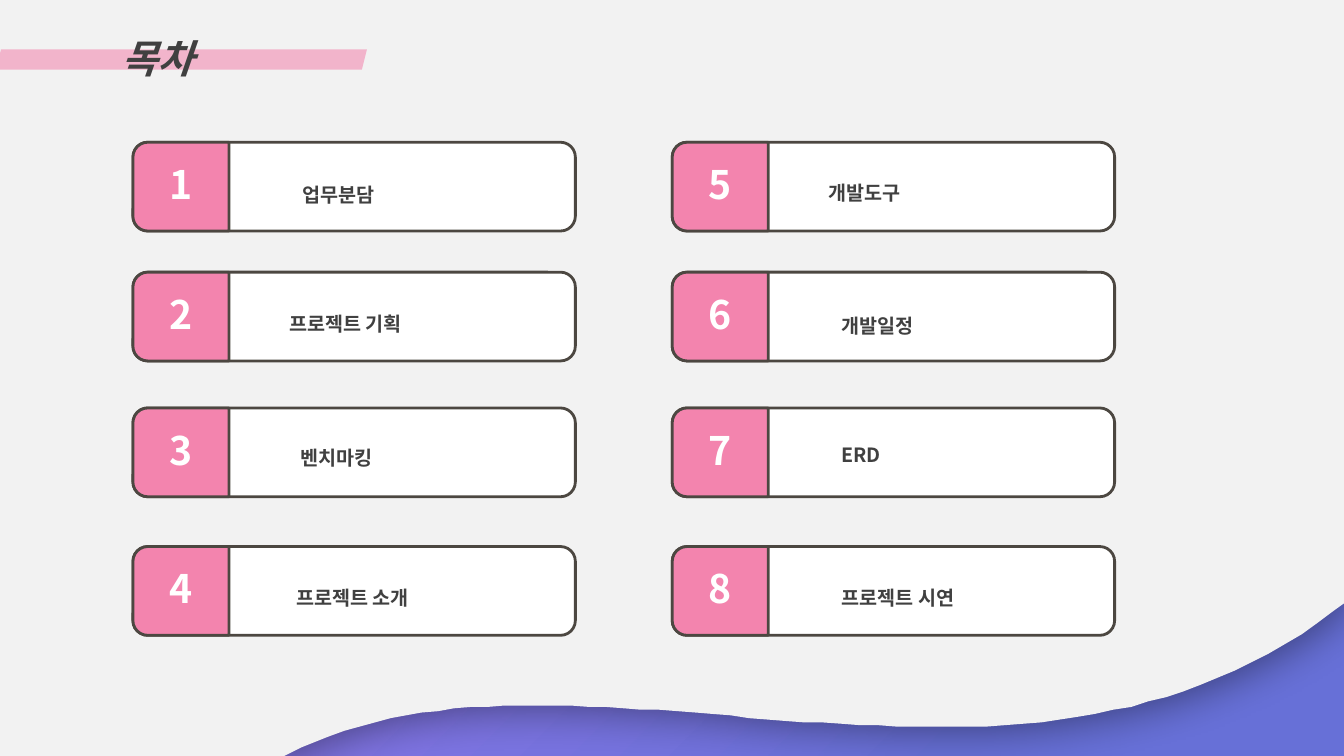
from lxml.etree import SubElement
from pptx import Presentation
from pptx.dml.color import RGBColor
from pptx.enum.shapes import MSO_SHAPE
from pptx.enum.text import MSO_ANCHOR, MSO_AUTO_SIZE, PP_ALIGN
from pptx.oxml import parse_xml
from pptx.oxml.ns import nsdecls, qn
from pptx.util import Pt

TITLE = "목차"
FONT = "Noto Sans CJK KR"
COLORS = {
    "paper": "F2F2F2", "pink": "F384AE", "white": "FFFFFF", "outline": "4C4741",
    "text": "404040", "purple": "9E78EF", "blue": "6770D7", "shadow": "000000",
}
WIDTH, HEIGHT = 960, 540
COLUMN_LEFTS = [95, 480.2]
ROW_TOPS = [101.6, 194.4, 291.4, 390.4]
CARD_WIDTH, CARD_HEIGHT, TAB_WIDTH = 316, 63.4, 68.6
# (label, left, top, width)
ITEMS = [
    ("업무분담", 172.8, 118.8, 186.5),
    ("프로젝트 기획", 163.4, 211, 222.5),
    ("벤치마킹", 171.4, 306.7, 230.4),
    ("프로젝트 소개", 168.5, 406.8, 186.5),
    ("개발도구", 548.6, 117.4, 186.5),
    ("개발일정", 558, 212.4, 185),
    ("ERD", 558, 304.6, 202.3),
    ("프로젝트 시연", 558, 406.8, 198.7),
]
WAVE = [(952.6, 436.3), (724.3, 611.3), (418.3, 439.9), (214.6, 534.2)]
WAVE_STEPS = 60


def wave_point(t):
    weights = [(1 - t) ** 3, 3 * t * (1 - t) ** 2, 3 * t * t * (1 - t), t ** 3]
    return tuple(sum(w * point[axis] for w, point in zip(weights, WAVE)) for axis in (0, 1))


def paint(shape, fill, line=None):
    shape.shadow.inherit = False
    shape.fill.solid()
    shape.fill.fore_color.rgb = RGBColor.from_string(COLORS[fill])
    if line:
        shape.line.color.rgb = RGBColor.from_string(COLORS[line])
        shape.line.width = Pt(2)
    else:
        shape.line.fill.background()


def write(box, text, size, color, wrap=True, italic=None, **paragraph_format):
    frame = box.text_frame
    frame.word_wrap = wrap
    frame.auto_size = MSO_AUTO_SIZE.SHAPE_TO_FIT_TEXT
    frame.vertical_anchor = MSO_ANCHOR.TOP
    para = frame.paragraphs[0]
    for name, value in paragraph_format.items():
        setattr(para, name, value)
    span = para.add_run()
    span.text = text
    for name, value in {"name": FONT, "size": Pt(size), "bold": True, "italic": italic}.items():
        setattr(span.font, name, value)
    span.font.color.rgb = RGBColor.from_string(COLORS[color])
    SubElement(span._r.get_or_add_rPr(), qn("a:ea"), typeface=FONT)


def add_background(page):
    page.element.cSld.insert(0, parse_xml(
        f'<p:bg {nsdecls("p", "a")}><p:bgPr><a:gradFill rotWithShape="1"><a:gsLst>'
        f'<a:gs pos="16000"><a:srgbClr val="{COLORS["purple"]}"/></a:gs>'
        f'<a:gs pos="82000"><a:srgbClr val="{COLORS["blue"]}"/></a:gs></a:gsLst>'
        '<a:path path="circle"><a:fillToRect r="100000" b="100000"/></a:path>'
        '</a:gradFill><a:effectLst/></p:bgPr></p:bg>'))


def add_paper(page):
    outline = [(WIDTH, 0), (WIDTH, 430.6)]
    outline += [wave_point(step / WAVE_STEPS) for step in range(WAVE_STEPS + 1)]
    outline += [(203, HEIGHT), (0, HEIGHT)]
    builder = page.shapes.build_freeform(0, 0, scale=Pt(1))
    builder.add_line_segments(outline, close=True)
    paper = builder.convert_to_shape()
    paint(paper, "paper")
    effects = paper.element.spPr.find(qn("a:effectLst"))
    effects.append(parse_xml(
        f'<a:outerShdw {nsdecls("a")} blurRad="{Pt(30)}" dist="{Pt(6)}" dir="2700000" '
        f'algn="tl" rotWithShape="0"><a:srgbClr val="{COLORS["shadow"]}">'
        '<a:alpha val="40000"/></a:srgbClr></a:outerShdw>'))


def add_heading(page):
    stripe = page.shapes.add_shape(
        MSO_SHAPE.PARALLELOGRAM, Pt(-2.9), Pt(35.3), Pt(265), Pt(14.4))
    paint(stripe, "pink")
    color = stripe.element.spPr.find(qn("a:solidFill"))[0]
    SubElement(color, qn("a:alpha"), val="56000")
    title = page.shapes.title
    title.left, title.top, title.width, title.height = Pt(79.9), Pt(20.9), Pt(71.3), Pt(41)
    write(title, TITLE, 28, "text", wrap=False, italic=True,
          alignment=PP_ALIGN.LEFT, line_spacing=1.0)
    title.element.getparent().append(title.element)


def add_card(page, number, left, top, item):
    label, label_left, label_top, label_width = item
    shapes = page.shapes.add_group_shape().shapes
    card = shapes.add_shape(
        MSO_SHAPE.ROUNDED_RECTANGLE, Pt(left), Pt(top), Pt(CARD_WIDTH), Pt(CARD_HEIGHT))
    paint(card, "white", "outline")
    shift = (TAB_WIDTH - CARD_HEIGHT) / 2
    tab = shapes.add_shape(
        MSO_SHAPE.ROUND_2_SAME_RECTANGLE, Pt(left + shift), Pt(top - shift),
        Pt(CARD_HEIGHT), Pt(TAB_WIDTH))
    tab.rotation = 270
    paint(tab, "pink", "outline")
    digit = shapes.add_textbox(Pt(left + 18.8), Pt(top + 9.3), Pt(31), Pt(41))
    write(digit, str(number), 28, "white", wrap=False, alignment=PP_ALIGN.CENTER)
    caption = shapes.add_textbox(Pt(label_left), Pt(label_top), Pt(label_width), Pt(32.4))
    write(caption, label, 14, "text", level=1, line_spacing=1.5)


def main():
    deck = Presentation()
    deck.slide_width, deck.slide_height = Pt(WIDTH), Pt(HEIGHT)
    page = deck.slides.add_slide(deck.slide_layouts[5])
    add_background(page)
    add_paper(page)
    add_heading(page)
    for index, item in enumerate(ITEMS):
        column, row = divmod(index, len(ROW_TOPS))
        add_card(page, index + 1, COLUMN_LEFTS[column], ROW_TOPS[row], item)
    deck.save("out.pptx")


if __name__ == "__main__":
    main()
